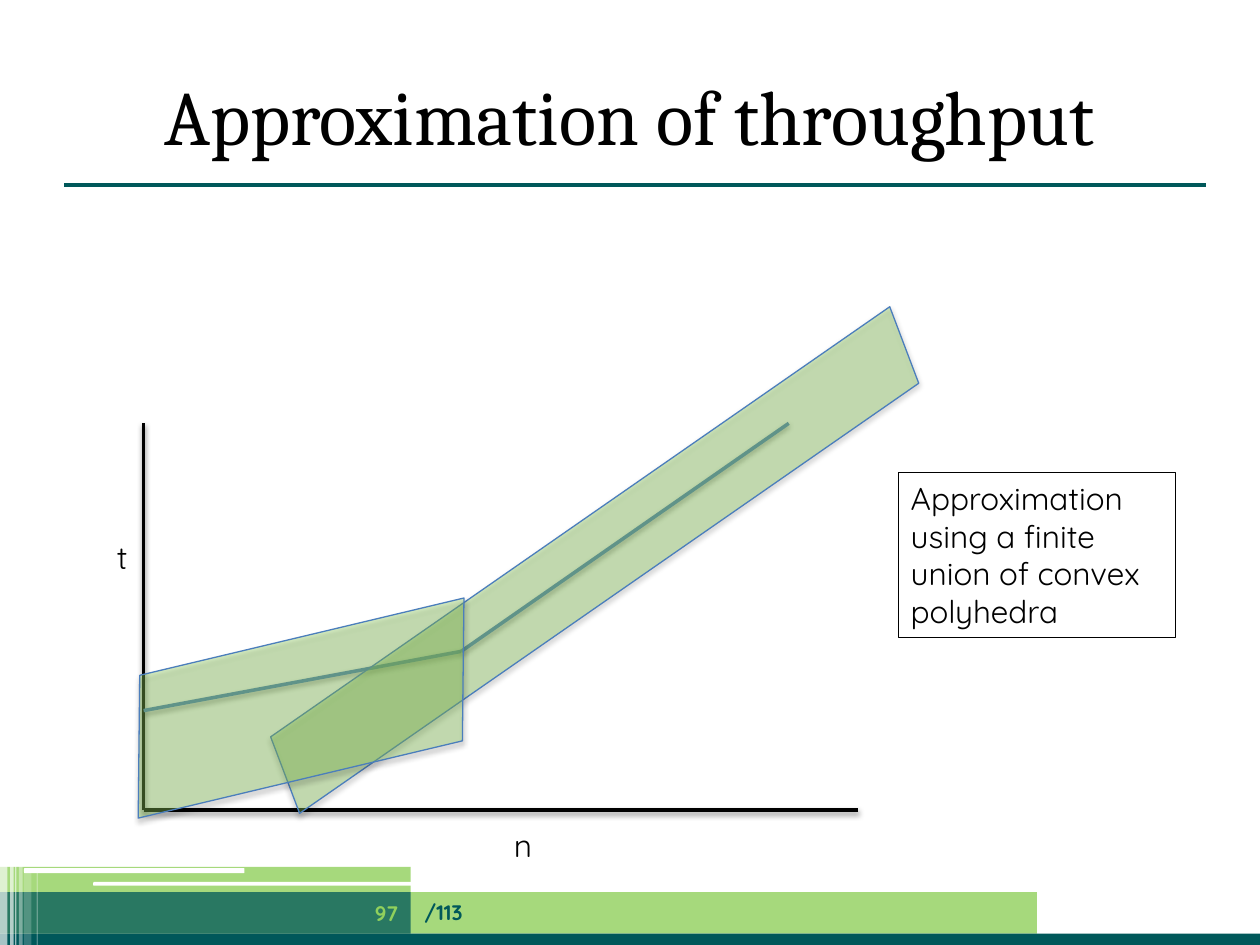
from lxml import etree
from pptx import Presentation
from pptx import util as u
from pptx.dml.color import RGBColor
from pptx.enum import shapes, text
from pptx.oxml.ns import qn

In = u.Inches
TEAL, GREEN, WHITE, BLACK = "00585A", "90D05C", "FFFFFF", "000000"
BLUE, EDGE = "4F81BD", "4B7EBC"
BODY = "Quicksand"
SHAPE = shapes.MSO_SHAPE
ALIGN = text.PP_ALIGN
MIDDLE = text.MSO_ANCHOR.MIDDLE


def rgb(value):
    return RGBColor.from_string(value)


def set_alpha(color_el, percent):
    etree.SubElement(color_el, qn("a:alpha")).set("val", str(percent * 1000))


def set_effects(sp, alpha=None, dist=1.6):
    """Give a soft downward shadow, or none when alpha is missing."""
    effects = etree.SubElement(sp._element.spPr, qn("a:effectLst"))
    if alpha:
        shadow = etree.SubElement(effects, qn("a:outerShdw"), {
            "blurRad": str(u.Pt(3.1)), "dist": str(u.Pt(dist)),
            "dir": "5400000", "rotWithShape": "0"})
        color = etree.SubElement(shadow, qn("a:srgbClr"), val=BLACK)
        set_alpha(color, alpha)


def write(sp, words, size=18, font=BODY, color=BLACK, bold=False,
          align=ALIGN.LEFT, anchor=text.MSO_ANCHOR.TOP, wrap=True):
    tf = sp.text_frame
    tf.word_wrap = wrap
    tf.vertical_anchor = anchor
    p = tf.paragraphs[0]
    p.alignment = align
    r = p.add_run()
    r.text = words
    r.font.size = u.Pt(size)
    r.font.name = font
    r.font.bold = bold
    r.font.color.rgb = rgb(color)


def add_label(s, box, words, **fmt):
    sp = s.shapes.add_textbox(*map(In, box))
    write(sp, words, **fmt)


def add_box(s, box, fill=None, alpha=None, line=None, kind=SHAPE.RECTANGLE,
            rotation=0, shadow=None):
    sp = s.shapes.add_shape(kind, *map(In, box))
    sp.rotation = rotation
    if fill:
        sp.fill.solid()
        sp.fill.fore_color.rgb = rgb(fill)
        if alpha:
            set_alpha(sp._element.spPr.find(qn("a:solidFill"))[0], alpha)
    else:
        sp.fill.background()
    if line:
        sp.line.color.rgb = rgb(line)
        sp.line.width = u.Pt(0.75)
    else:
        sp.line.fill.background()
    set_effects(sp, shadow, 1.8)
    return sp


def add_line(s, start, end, color, width=2, shadow=38):
    c = s.shapes.add_connector(shapes.MSO_CONNECTOR.STRAIGHT,
                               *map(In, start + end))
    c.line.color.rgb = rgb(color)
    c.line.width = u.Pt(width)
    set_effects(c, shadow)


def add_footer(s):
    # Colour bands
    add_box(s, (0, 7.08, 8.23, 0.33), GREEN, 80)
    add_box(s, (0, 7.41, 10, 0.11), TEAL)
    add_box(s, (0, 7.08, 3.26, 0.33), TEAL, 75)
    add_box(s, (0, 6.88, 3.26, 0.2), GREEN, 80)
    # White dashes
    for box in ((0.74, 7, 3.35, 0.03), (0.19, 6.89, 1.75, 0.04)):
        add_box(s, box, WHITE, kind=SHAPE.ROUNDED_RECTANGLE)
    # Translucent stripes: left, top, width, opacity
    for x, y, w, alpha in ((0, 6.86, 0.06, 65), (0.08, 6.86, 0.03, 65),
                           (0.12, 6.86, 0.01, 60), (0.15, 6.86, 0.03, 40),
                           (0.19, 6.9, 0.06, 20), (0.29, 6.9, 0.01, 30)):
        add_box(s, (x, y, w, 7.52 - y), WHITE, alpha)


def add_title(s, words):
    add_line(s, (0.51, 1.47), (9.57, 1.47), TEAL, 2.25, shadow=None)
    title = s.shapes.title
    title.left, title.top, title.width, title.height = map(
        In, (0.5, 0.44, 9, 0.94))
    write(title, words, size=44, font="Cambria", align=ALIGN.CENTER,
          anchor=MIDDLE)


def add_page_number(s):
    add_label(s, (3.27, 7.04, 4.96, 0.4), "/113", size=12, color=TEAL,
              bold=True, anchor=MIDDLE)
    add_label(s, (2.56, 7.05, 0.7, 0.4), "97", size=12, color=GREEN,
              bold=True, align=ALIGN.RIGHT, anchor=MIDDLE)


def add_graph(s):
    # Axes and their names
    origin, bend = (1.14, 6.43), (3.66, 5.17)
    add_line(s, (1.14, 3.36), origin, BLACK)
    add_line(s, (6.81, 6.43), origin, BLACK)
    add_label(s, (0.83, 4.22, 0.29, 0.4), "t", wrap=False)
    add_label(s, (3.98, 6.51, 0.36, 0.4), "n", wrap=False)
    # Throughput curve
    add_line(s, (1.14, 5.64), bend, BLUE)
    add_line(s, bend, (6.26, 3.36), BLUE)
    # Explanation
    note = add_box(s, (7.13, 3.75, 2.2, 1.31), line=BLACK)
    write(note, "Approximation using a finite union of convex polyhedra")
    # Polyhedra covering the curve
    for box, rotation in (((1.65, 4.13, 6.14, 0.63), 325.2),
                          ((0.93, 5.07, 2.92, 1.1), 346.6)):
        add_box(s, box, GREEN, 37, EDGE, SHAPE.PARALLELOGRAM, rotation,
                shadow=35)


def main():
    prs = Presentation()
    prs.slide_width, prs.slide_height = In(10), In(7.5)
    s = prs.slides.add_slide(prs.slide_layouts[5])
    add_footer(s)
    add_title(s, "Approximation of throughput")
    add_page_number(s)
    add_graph(s)
    prs.save("out.pptx")


if __name__ == "__main__":
    main()
